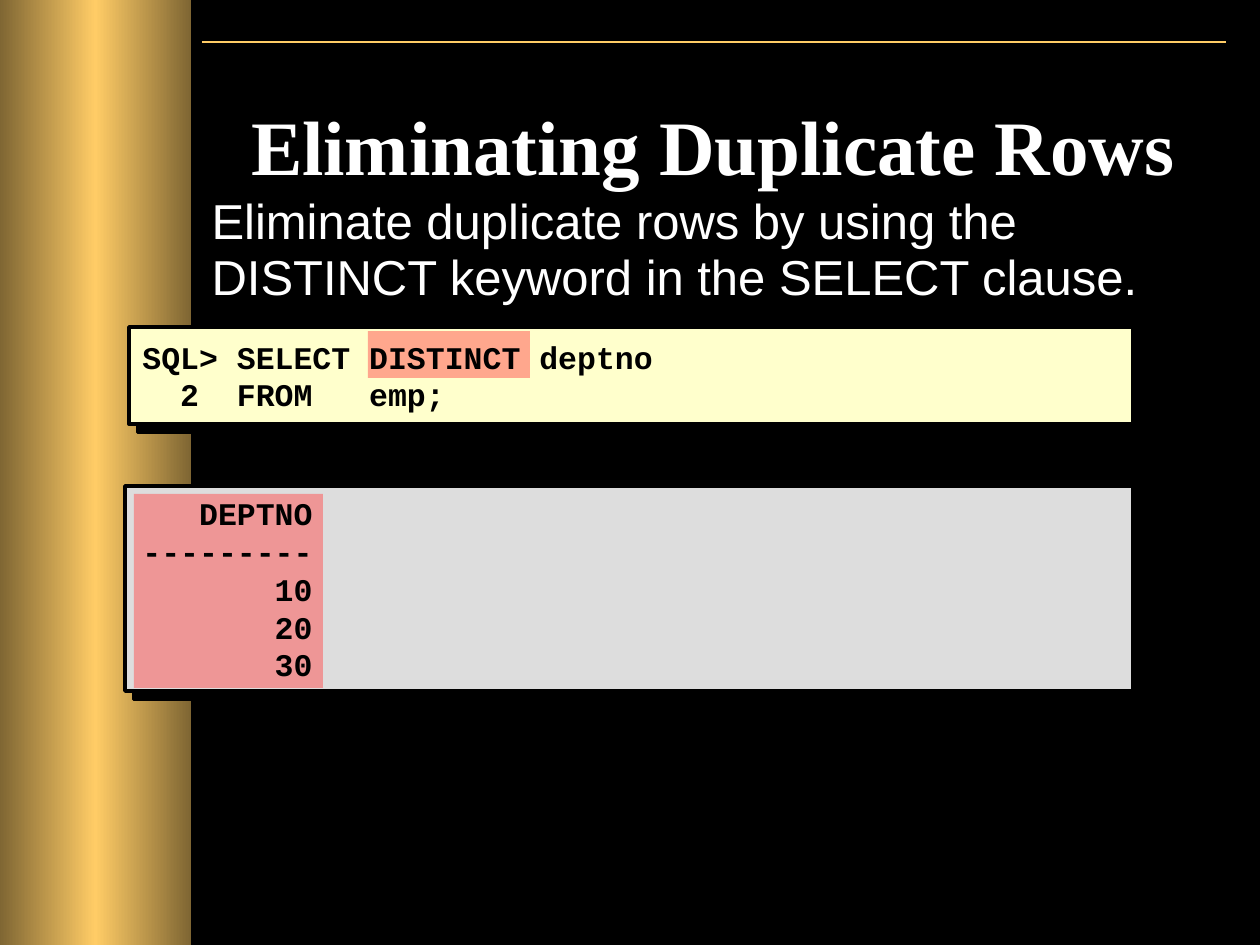
from lxml import etree
from pptx import Presentation, util as u
from pptx.dml.color import RGBColor
from pptx.enum import shapes, text
from pptx.oxml import ns

COLOURS = {"background": "000000", "white": "FFFFFF", "gold": "FFCC66",
           "bronze": "7F6633", "code": "FFFFCC", "result": "DDDDDD",
           "highlight": "FF5050", "black": "000000"}
SCALE = 914400 / 126


def px(*lengths):
    return [u.Emu(round(length * SCALE)) for length in lengths]


def style_text(frame, font_name, size, colour, bold):
    for paragraph in frame.paragraphs:
        for run in paragraph.runs:
            run.font.name = font_name
            run.font.size = u.Pt(size)
            run.font.bold = bold
            run.font.color.rgb = RGBColor.from_string(COLOURS[colour])


presentation = Presentation()
presentation.slide_width, presentation.slide_height = px(1260, 945)
slide = presentation.slides.add_slide(presentation.slide_layouts[5 - 4])
slide.background.fill.solid()
slide.background.fill.fore_color.rgb = RGBColor.from_string(COLOURS["background"])
title, body = slide.placeholders

rule = slide.shapes.add_connector(shapes.MSO_CONNECTOR.STRAIGHT, *px(202, 42, 1226, 42))
rule.line.color.rgb = RGBColor.from_string(COLOURS["gold"])
rule.line.width = u.Pt(1)
etree.SubElement(rule._element.spPr, ns.qn("a:effectLst"))

band = slide.shapes.add_shape(shapes.MSO_SHAPE.RECTANGLE, *px(0, 0, 191, 945))
band.shadow.inherit = False
band.line.fill.background()
band.fill.gradient()
band.fill.gradient_angle = 0
stop_list = band._element.spPr.find(".//" + ns.qn("a:gsLst"))
for stop in list(stop_list):
    stop_list.remove(stop)
for position, colour in [(0, "bronze"), (50, "gold"), (100, "bronze")]:
    stop = etree.SubElement(stop_list, ns.qn("a:gs"), pos=str(position * 1000))
    etree.SubElement(stop, ns.qn("a:srgbClr"), val=COLOURS[colour])

for colour, bounds in [("code", (129, 327, 1004, 97)), ("result", (125, 486, 1008, 205))]:
    panel = slide.shapes.add_shape(shapes.MSO_SHAPE.RECTANGLE, *px(*bounds))
    panel.fill.solid()
    panel.fill.fore_color.rgb = RGBColor.from_string(COLOURS[colour])
    panel.line.color.rgb = RGBColor.from_string(COLOURS["black"])
    panel.line.width = u.Pt(2)
    panel.shadow.inherit = False
    effects = panel._element.spPr.find(ns.qn("a:effectLst"))
    shadow = etree.SubElement(effects, ns.qn("a:outerShdw"), dist=str(u.Pt(7.1)),
                              dir="2700000", algn="ctr", rotWithShape="0")
    etree.SubElement(shadow, ns.qn("a:srgbClr"), val=COLOURS["black"])

title.left, title.top, title.width, title.height = px(200, 84, 1027, 158)
title.text_frame.text = "Eliminating Duplicate Rows"
title.text_frame.vertical_anchor = text.MSO_ANCHOR.TOP
title.text_frame.margin_top = px(15)[0]
title.text_frame.auto_size = text.MSO_AUTO_SIZE.NONE
title.text_frame.paragraphs[0].alignment = text.PP_ALIGN.CENTER
style_text(title.text_frame, "Times New Roman", 44, "white", True)

body.left, body.top, body.width, body.height = px(199, 189, 1016, 125)
body.text_frame.text = "Eliminate duplicate rows by using the DISTINCT keyword in the SELECT clause."
body.text_frame.auto_size = text.MSO_AUTO_SIZE.NONE
paragraph = body.text_frame.paragraphs[0]
properties = paragraph._p.get_or_add_pPr()
properties.set("marL", "0")
properties.set("indent", "0")
etree.SubElement(properties, ns.qn("a:buNone"))
paragraph.line_spacing = 0.95
paragraph.space_before = u.Pt(0)
style_text(body.text_frame, "Arial", 28, "white", False)

for bounds in [(368, 331, 162, 47), (134, 494, 189, 194)]:
    highlight = slide.shapes.add_shape(shapes.MSO_SHAPE.RECTANGLE, *px(*bounds))
    highlight.shadow.inherit = False
    highlight.line.fill.background()
    highlight.fill.solid()
    highlight.fill.fore_color.rgb = RGBColor.from_string(COLOURS["highlight"])
    colour_element = highlight._element.spPr.find(".//" + ns.qn("a:srgbClr"))
    etree.SubElement(colour_element, ns.qn("a:alpha"), val="50000")

listings = [
    ((130, 325, 1008, 101), text.MSO_ANCHOR.MIDDLE,
     ["SQL> SELECT DISTINCT deptno", "  2  FROM   emp;"]),
    ((130, 488, 1004, 239), text.MSO_ANCHOR.TOP,
     ["   DEPTNO", "---------", "       10", "       20", "       30"]),
]
for bounds, anchor, lines in listings:
    listing = slide.shapes.add_textbox(*px(*bounds))
    listing.text_frame.word_wrap = True
    listing.text_frame.vertical_anchor = anchor
    listing.text_frame.text = "\n".join(lines)
    style_text(listing.text_frame, "Courier New", 18, "black", True)

for placeholder in (title, body):
    slide.shapes._spTree.append(placeholder._element)

presentation.save("out.pptx")
